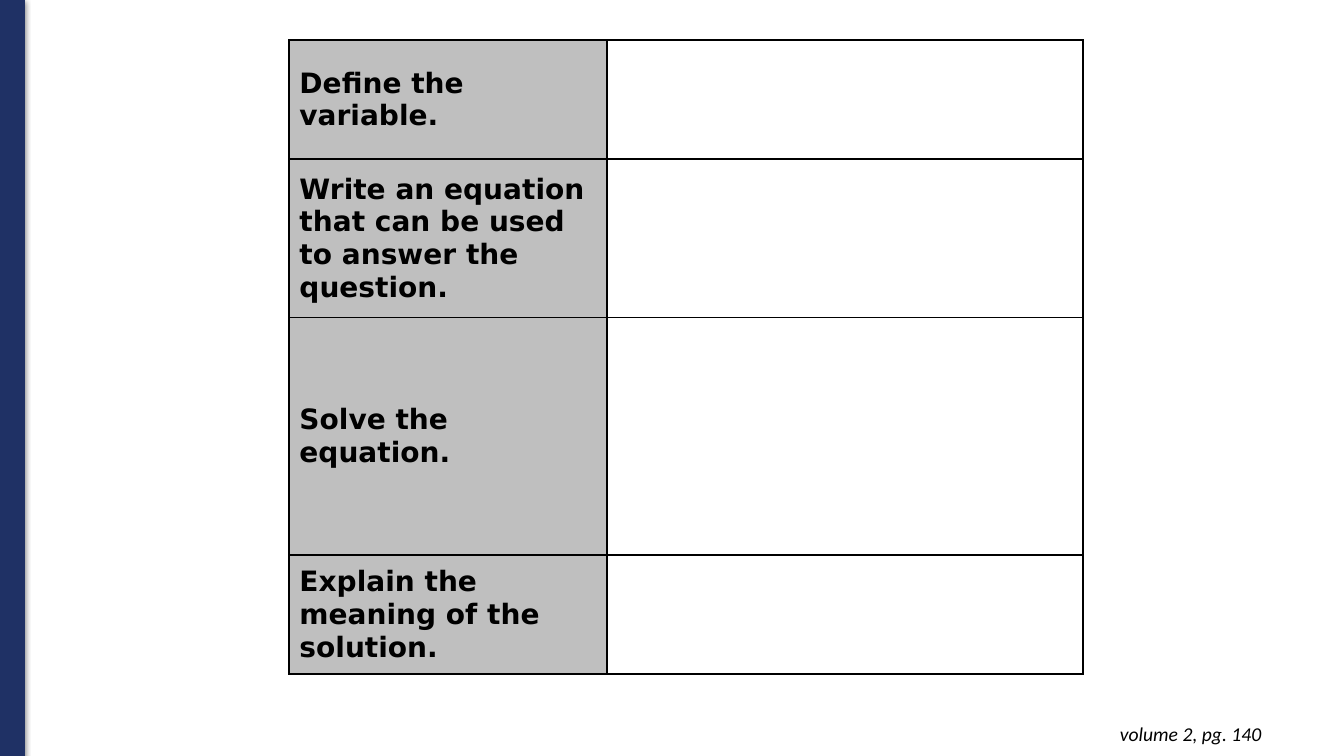
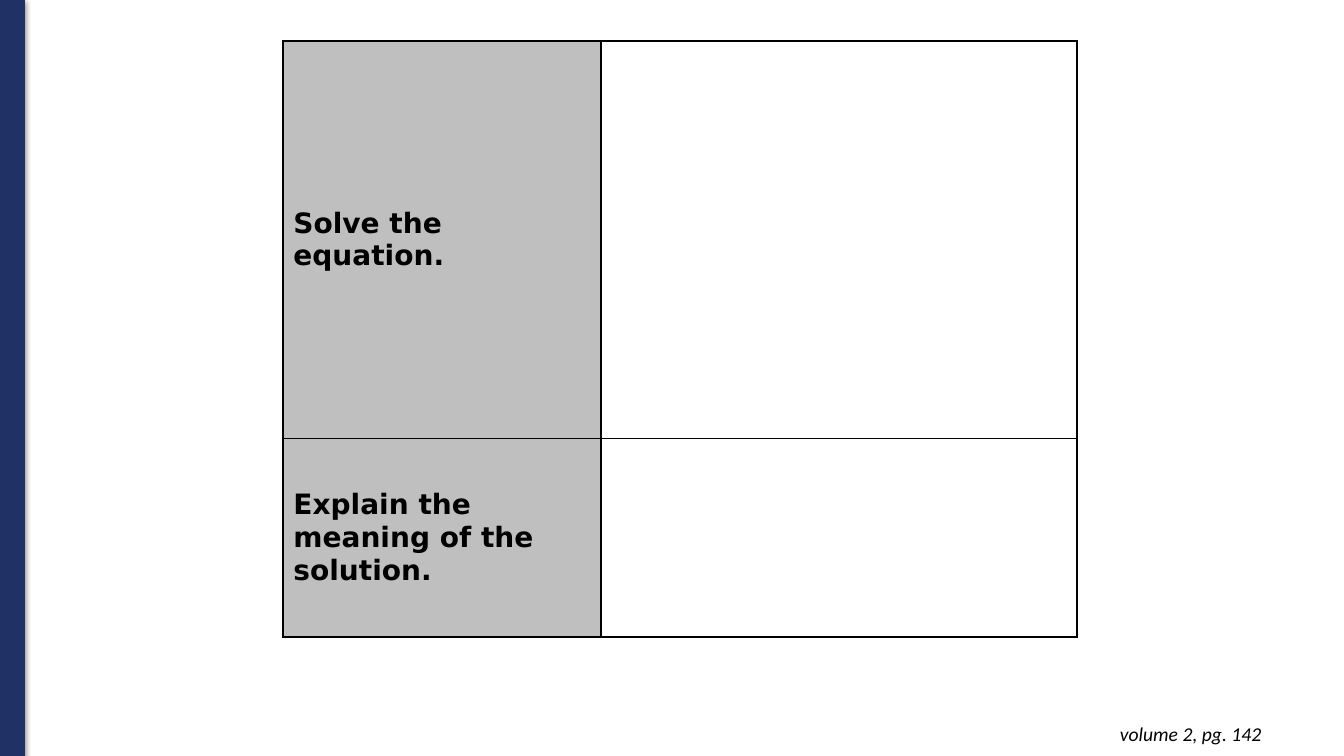
import dataclasses

import lxml.etree
import pptx
import pptx.dml.color
import pptx.enum.shapes
import pptx.enum.text
import pptx.oxml.ns
import pptx.util

Inches = pptx.util.Inches
Pt = pptx.util.Pt
qn = pptx.oxml.ns.qn


@dataclasses.dataclass(frozen=True)
class Theme:
    band: str = "1F3165"
    label_fill: str = "BFBFBF"
    ink: str = "000000"
    label_font: str = "DejaVu Sans"
    label_size: int = 20
    footer_font: str = "Calibri"
    footer_size: int = 14
    border_width: float = 1.5


THEME = Theme()
SLIDE_SIZE = (13.33, 7.5)
BAND_BOX = (0, 0, 0.24, 7.51)
FOOTER_BOX = (9.73, 7.06, 2.88, 0.44)
COLUMN_WIDTHS = (3.15, 4.72)

SOLVE = "Solve the equation."
EXPLAIN = "Explain the meaning of the solution."

# Footer, table corner, and (label, row height) for each step
WORKSHEETS = [
    ("volume 2, pg. 140", (2.87, 0.4), [
        ("Define the variable.", 1.18),
        ("Write an equation that can be used to answer the question.", 1.57),
        (SOLVE, 2.36),
        (EXPLAIN, 1.18),
    ]),
    ("volume 2, pg. 142", (2.81, 0.41), [
        (SOLVE, 3.94),
        (EXPLAIN, 1.97),
    ]),
]


def rgb(color):
    return pptx.dml.color.RGBColor.from_string(color)


def inches(box):
    return [Inches(length) for length in box]


def add_color(parent, color):
    return lxml.etree.SubElement(parent, qn("a:srgbClr"), val=color)


def format_runs(paragraph, font_name, size, bold=False, italic=False):
    for run in paragraph.runs:
        run.font.name = font_name
        run.font.size = Pt(size)
        run.font.bold = bold
        run.font.italic = italic
        run.font.color.rgb = rgb(THEME.ink)


def add_soft_shadow(shape):
    shape.shadow.inherit = False
    effects = shape._element.spPr.find(qn("a:effectLst"))
    shadow = lxml.etree.SubElement(
        effects, qn("a:outerShdw"), blurRad=str(Pt(4.5)), dist=str(Pt(1.5)),
        dir="5400000", algn="ctr", rotWithShape="0")
    color = add_color(shadow, THEME.ink)
    lxml.etree.SubElement(color, qn("a:alpha"), val="50000")


def add_side_band(slide, box):
    band = slide.shapes.add_shape(
        pptx.enum.shapes.MSO_SHAPE.RECTANGLE, *inches(box))
    band.fill.solid()
    band.fill.fore_color.rgb = rgb(THEME.band)
    band.line.color.rgb = rgb(THEME.band)
    band.line.width = Pt(0.75)
    add_soft_shadow(band)


def add_footer(slide, box, text):
    text_frame = slide.shapes.add_textbox(*inches(box)).text_frame
    text_frame.word_wrap = True
    text_frame.auto_size = pptx.enum.text.MSO_AUTO_SIZE.SHAPE_TO_FIT_TEXT
    text_frame.margin_left = text_frame.margin_right = Inches(0.1)
    text_frame.margin_top = text_frame.margin_bottom = Inches(0.1)
    text_frame.text = text
    paragraph = text_frame.paragraphs[0]
    paragraph.alignment = pptx.enum.text.PP_ALIGN.RIGHT
    format_runs(paragraph, THEME.footer_font, THEME.footer_size, italic=True)


def add_cell_borders(cell):
    """Outline all four sides; call before setting the cell's fill."""
    properties = cell._tc.get_or_add_tcPr()
    for side in ("a:lnL", "a:lnR", "a:lnT", "a:lnB"):
        line = lxml.etree.SubElement(
            properties, qn(side), w=str(Pt(THEME.border_width)))
        add_color(lxml.etree.SubElement(line, qn("a:solidFill")), THEME.ink)


def add_step_table(slide, corner, steps):
    size = (sum(COLUMN_WIDTHS), sum(height for _, height in steps))
    table = slide.shapes.add_table(
        len(steps), len(COLUMN_WIDTHS), *inches(corner + size)).table
    table.first_row = False
    table.horz_banding = False
    for column, width in zip(table.columns, COLUMN_WIDTHS):
        column.width = Inches(width)
    for cell in table.iter_cells():
        add_cell_borders(cell)
        cell.fill.background()
    for row, (label, height) in zip(table.rows, steps):
        row.height = Inches(height)
        label_cell = row.cells[0]
        label_cell.fill.solid()
        label_cell.fill.fore_color.rgb = rgb(THEME.label_fill)
        label_cell.vertical_anchor = pptx.enum.text.MSO_ANCHOR.MIDDLE
        label_cell.text_frame.text = label
        format_runs(label_cell.text_frame.paragraphs[0],
                    THEME.label_font, THEME.label_size, bold=True)


def add_worksheet_slide(presentation, footer, corner, steps):
    slide = presentation.slides.add_slide(presentation.slide_layouts[6])
    add_side_band(slide, BAND_BOX)
    add_footer(slide, FOOTER_BOX, footer)
    add_step_table(slide, corner, steps)


def main():
    presentation = pptx.Presentation()
    presentation.slide_width, presentation.slide_height = inches(SLIDE_SIZE)
    for footer, corner, steps in WORKSHEETS:
        add_worksheet_slide(presentation, footer, corner, steps)
    presentation.save("out.pptx")


if __name__ == "__main__":
    main()
